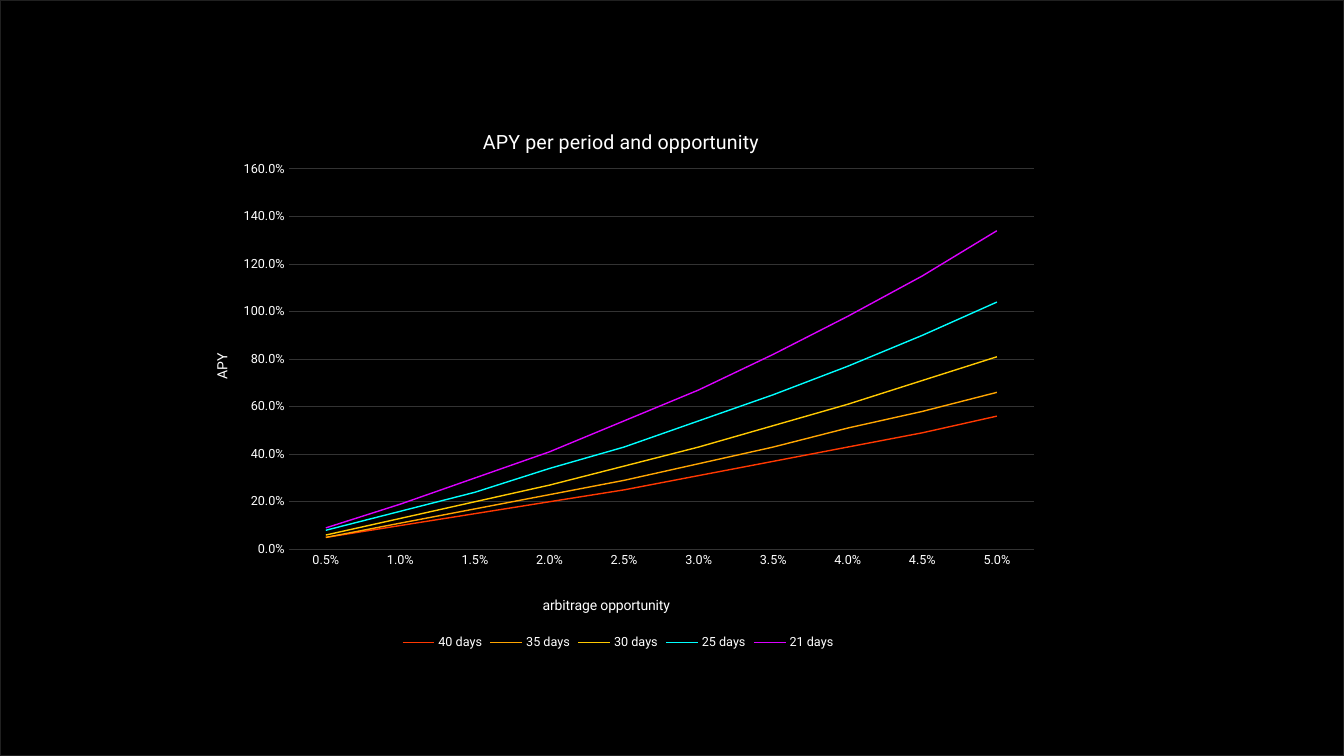
"""Builds a slide with a line chart of APY per period and arbitrage opportunity."""
from dataclasses import dataclass

from lxml.etree import SubElement
from pptx import Presentation
from pptx.chart.data import CategoryChartData
from pptx.dml.color import RGBColor
from pptx.enum.chart import XL_CHART_TYPE as ChartType
from pptx.enum.chart import XL_LEGEND_POSITION as LegendPosition
from pptx.enum.chart import XL_TICK_MARK as TickMark
from pptx.enum.shapes import MSO_SHAPE as Preset
from pptx.oxml.ns import qn
from pptx.util import Inches, Pt


@dataclass(frozen=True)
class Theme:
    font: str = "Roboto"
    page: str = "F6F8F8"
    panel: str = "000000"
    border: str = "202020"
    grid: str = "333333"
    text: str = "FFFFFF"
    title_size: float = 14
    axis_title_size: float = 10
    label_size: float = 9
    panel_line: float = 1
    grid_line: float = 0.75
    series_line: float = 1


THEME = Theme()
PERCENT = "0.0%"
OPPORTUNITIES = [step / 200 for step in range(1, 11)]
PERIODS = {
    "40 days": ("FF3800", (0.05, 0.1, 0.15, 0.2, 0.25, 0.31, 0.37, 0.43, 0.49, 0.56)),
    "35 days": ("FFA500", (0.05, 0.11, 0.17, 0.23, 0.29, 0.36, 0.43, 0.51, 0.58, 0.66)),
    "30 days": ("FFC900", (0.06, 0.13, 0.2, 0.27, 0.35, 0.43, 0.52, 0.61, 0.71, 0.81)),
    "25 days": ("00FFFF", (0.08, 0.16, 0.24, 0.34, 0.43, 0.54, 0.65, 0.77, 0.9, 1.04)),
    "21 days": ("DB00FF", (0.09, 0.19, 0.3, 0.41, 0.54, 0.67, 0.82, 0.98, 1.15, 1.34)),
}


def style_font(font, size, color=THEME.text):
    """Apply the theme face with a size and colour."""
    font.name = THEME.font
    font.size = Pt(size)
    font.bold = False
    font.color.rgb = RGBColor.from_string(color)


def style_line(line, color, width):
    """Give a line a solid colour and width."""
    line.color.rgb = RGBColor.from_string(color)
    line.width = Pt(width)


def write_text(frame, text, *, size, color=THEME.text):
    """Write one formatted run into a text frame."""
    run = frame.paragraphs[0].add_run()
    run.text = text
    style_font(run.font, size, color)


def place(element, **fractions):
    """Position a chart part by fractions of the chart area."""
    layout = element.find(qn("c:layout"))
    if layout is None:
        layout = element.makeelement(qn("c:layout"))
        text = element.find(qn("c:tx"))
        element.insert(0 if text is None else 1, layout)
    manual = SubElement(layout, qn("c:manualLayout"))
    if "w" in fractions:
        SubElement(manual, qn("c:layoutTarget")).set("val", "inner")
    for side in "xy":
        SubElement(manual, qn(f"c:{side}Mode")).set("val", "edge")
    for side, fraction in fractions.items():
        SubElement(manual, qn(f"c:{side}")).set("val", str(fraction))


def add_title(owner, title, text, *, size, x, y):
    """Write and place the title of the chart or of an axis."""
    owner.has_title = True
    write_text(title.text_frame, text, size=size)
    place(title._element, x=x, y=y)


def style_axis(axis, text, *, x, y):
    """Format the labels, ticks and title of an axis."""
    axis.major_tick_mark = axis.minor_tick_mark = TickMark.NONE
    axis.tick_labels.number_format = PERCENT
    axis.tick_labels.number_format_is_linked = False
    style_font(axis.tick_labels.font, THEME.label_size)
    add_title(axis, axis.axis_title, text, size=THEME.axis_title_size, x=x, y=y)


def add_panel(slide, width, height):
    """Cover the slide with a dark bordered panel."""
    panel = slide.shapes.add_shape(Preset.RECTANGLE, 0, 0, width, height)
    panel.shadow.inherit = False
    panel.fill.solid()
    panel.fill.fore_color.rgb = RGBColor.from_string(THEME.panel)
    style_line(panel.line, THEME.border, THEME.panel_line)


def add_apy_chart(slide):
    """Add the line chart with one series per period."""
    apy_data = CategoryChartData(number_format=PERCENT)
    apy_data.categories = OPPORTUNITIES
    apy_data.categories.number_format = PERCENT
    for period, (_, values) in PERIODS.items():
        apy_data.add_series(period, values)
    chart = slide.shapes.add_chart(
        ChartType.LINE, Inches(1.83), Inches(1.02), Inches(8.6), Inches(5.47), apy_data
    ).chart
    style_font(chart.font, THEME.axis_title_size)
    add_title(chart, chart.chart_title, "APY per period and opportunity",
              size=THEME.title_size, x=0.34, y=0.04)

    opportunity_axis, apy_axis = chart.category_axis, chart.value_axis
    style_axis(opportunity_axis, "arbitrage opportunity", x=0.41, y=0.89)
    style_line(opportunity_axis.format.line, THEME.grid, THEME.grid_line)
    style_axis(apy_axis, "APY", x=0.03, y=0.45)
    apy_axis.format.line.fill.background()
    apy_axis.minimum_scale, apy_axis.maximum_scale = 0, 1.6
    apy_axis.major_unit = 0.2
    style_line(apy_axis.major_gridlines.format.line, THEME.grid, THEME.grid_line)

    chart.has_legend = True
    chart.legend.position = LegendPosition.BOTTOM
    chart.legend.include_in_layout = False
    style_font(chart.legend.font, THEME.label_size)

    plot = chart.plots[0]
    plot.vary_by_categories = False
    for series, (color, _) in zip(plot.series, PERIODS.values()):
        series.smooth = False
        style_line(series.format.line, color, THEME.series_line)
    place(chart._chartSpace.chart.plotArea, x=0.12, y=0.12, w=0.86, h=0.69)


def main():
    """Build and save the slide."""
    deck = Presentation()
    deck.slide_width, deck.slide_height = Inches(13.33), Inches(7.5)
    slide = deck.slides.add_slide(deck.slide_layouts[6])
    slide.background.fill.solid()
    slide.background.fill.fore_color.rgb = RGBColor.from_string(THEME.page)
    add_panel(slide, deck.slide_width, deck.slide_height)
    add_apy_chart(slide)
    deck.save("out.pptx")


if __name__ == "__main__":
    main()
